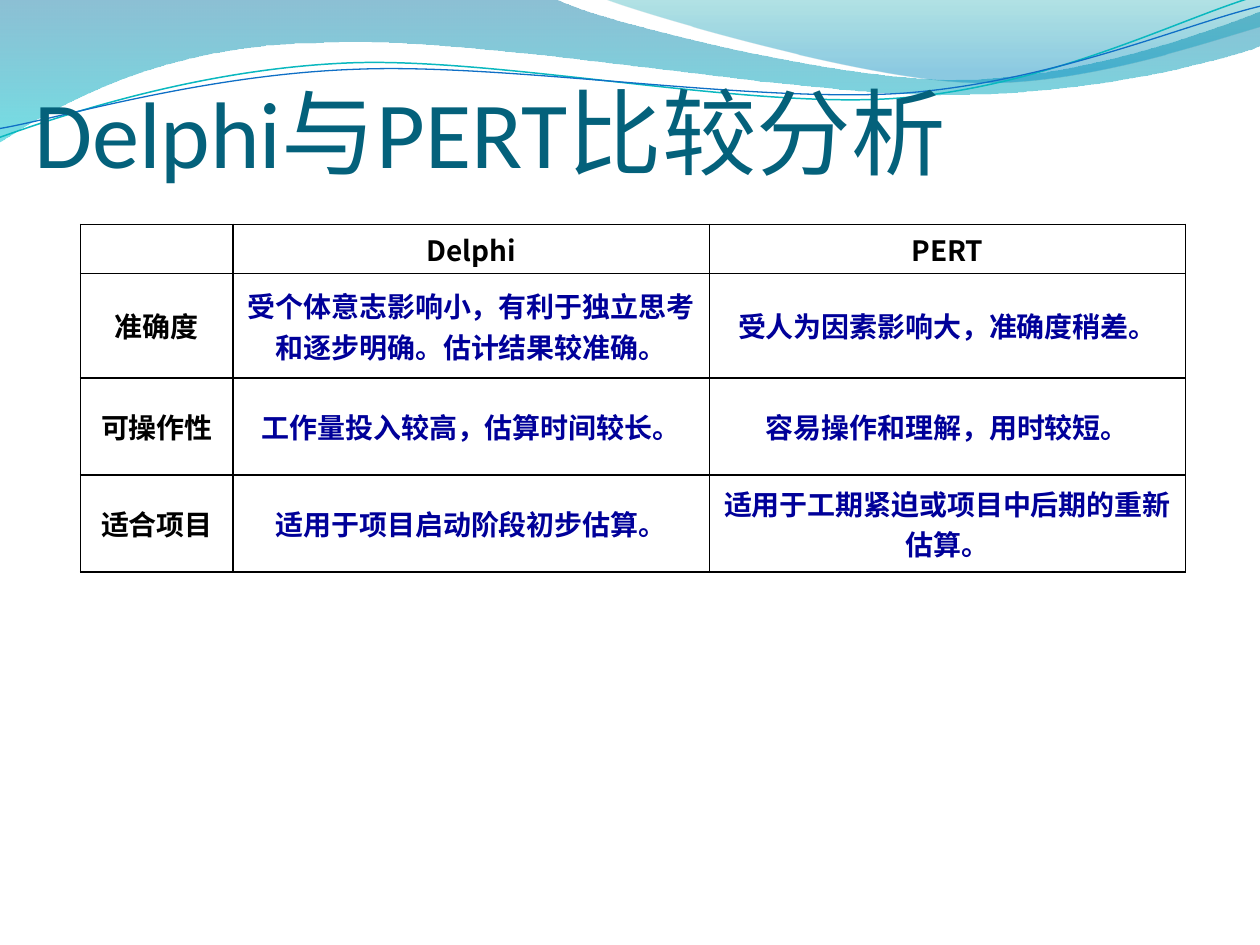
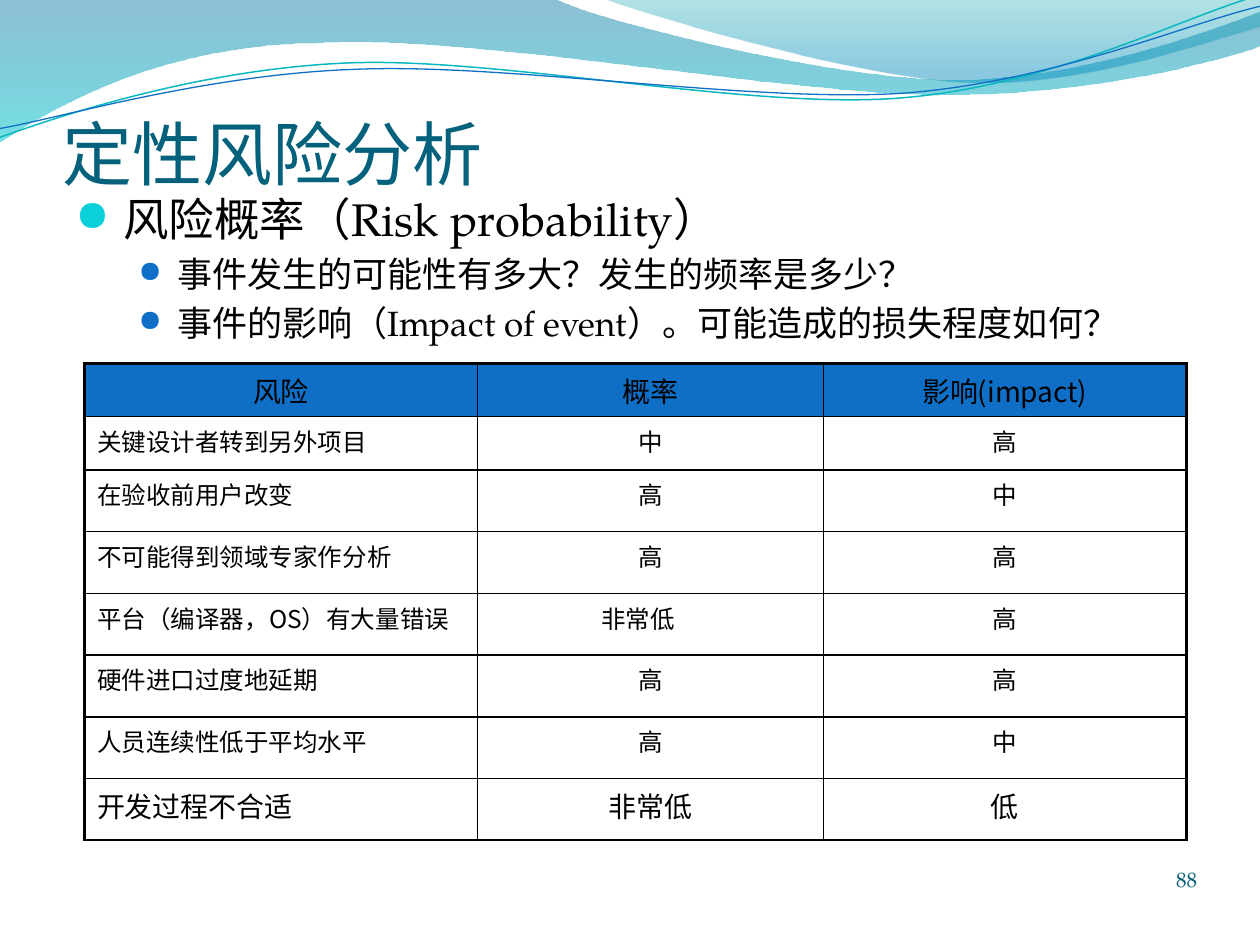
from dataclasses import dataclass, replace
from math import cos, radians, sin

from lxml import etree
from pptx import Presentation
from pptx.dml.color import RGBColor
from pptx.enum.text import MSO_ANCHOR, PP_ALIGN
from pptx.oxml.ns import qn
from pptx.util import Emu, Inches, Pt

LEFT, CENTER, RIGHT = PP_ALIGN.LEFT, PP_ALIGN.CENTER, PP_ALIGN.RIGHT
TOP, MIDDLE, BOTTOM = MSO_ANCHOR.TOP, MSO_ANCHOR.MIDDLE, MSO_ANCHOR.BOTTOM

PAGE_WIDTH, PAGE_HEIGHT = Inches(10), Inches(7.5)
GRID_COLUMNS, GRID_ROWS = 100, 75


@dataclass(frozen=True)
class Theme:
    title: str = "04617B"
    text: str = "000000"
    opinion: str = "000099"
    header_fill: str = "0F6FC6"
    bullet: str = "0BD0D9"
    sub_bullet: str = "0F6FC6"
    page_number: str = "045C75"
    heading_font: str = "Calibri"
    body_font: str = "TeX Gyre Pagella"
    table_font: str = "Noto Sans CJK SC"
    asian_font: str = "Noto Sans CJK SC"
    bullet_font: str = "OpenSymbol"
    big_title_size: int = 54
    title_size: int = 40
    body_size: int = 26
    sub_size: int = 20
    table_size: int = 16
    small_size: int = 14
    number_size: int = 12
    thin: float = 1
    thick: float = 2.25


THEME = Theme()


@dataclass(frozen=True)
class Area:
    column: float
    row: float
    columns: float
    rows: float

    def emu(self) -> tuple:
        return across(self.column), down(self.row), across(self.columns), down(self.rows)


@dataclass(frozen=True)
class TextStyle:
    size: float
    font: str
    color: str
    bold: bool = False
    align: PP_ALIGN = LEFT
    space_share: float = 0


@dataclass(frozen=True)
class Bullet:
    level: int
    color: str
    percent: int
    indent: float
    hanging: float


@dataclass(frozen=True)
class Stop:
    color: str
    position: float
    opacity: int


@dataclass(frozen=True)
class Wave:
    """An outline: each step has one point (straight) or three (Bézier)."""
    start: tuple
    steps: tuple
    stops: tuple = ()
    line_color: str = ""
    line_width: float = 0
    tilt: float = 0
    center: tuple = (0, 0)


@dataclass(frozen=True)
class Frame:
    left: float
    top: float
    right: float
    bottom: float


@dataclass(frozen=True)
class Grid:
    area: Area
    widths: tuple
    heights: tuple
    frame: Frame
    margins: tuple
    anchor: MSO_ANCHOR


WAVES = (
    Wave((0, -0.1), (
        ((44, -0.1),),
        ((47.6, 1.7), (66.4, 6.3), (75.8, 6.3)),
        ((85.3, 6.3), (95.8, 2.6), (100, 0.9)),
        ((100.1, 3.6),),
        ((98.3, 4.4), (87, 7.6), (74.6, 7.5)),
        ((62.2, 7.5), (38.2, 2.8), (25.7, 3.4)),
        ((12.9, 3.5), (4.6, 8.3), (-0.1, 11.3)),
    ), stops=(Stop("0074A1", 0, 45), Stop("00C6CF", 1, 55))),
    Wave((47.9, -0.1), (
        ((50.9, 1.1), (68.2, 6.2), (76.9, 6.5)),
        ((85.6, 6.9), (96.1, 3.2), (100, 2.1)),
        ((100, 0),),
    ), stops=(Stop("00A1A9", 0, 30), Stop("008BBF", 0.8, 45))),
    Wave((0, 10.9), (
        ((4.8, 9.2), (15.7, 5.5), (27.6, 5)),
        ((39.5, 4.5), (59.2, 8.7), (71.2, 7.8)),
        ((83.3, 6.9), (93.8, 1.4), (99.7, -0.3)),
    ), line_color="0AB8BF", line_width=0.85, tilt=-2.7, center=(49.9, 5.65)),
    Wave((0, 10.2), (
        ((4.7, 9.4), (16.3, 5.9), (28.3, 5.5)),
        ((40.2, 5), (59.7, 8.2), (71.7, 7.4)),
        ((83.6, 6.5), (94.1, 1.9), (100, 0.5)),
    ), line_color="0F6FC6", line_width=0.75, tilt=-2.7, center=(49.95, 5.8)),
)

TITLE = TextStyle(THEME.title_size, THEME.heading_font, THEME.title)
BIG_TITLE = replace(TITLE, size=THEME.big_title_size)
POINT = TextStyle(THEME.body_size, THEME.body_font, THEME.text, space_share=0.2)
SUB_POINT = replace(POINT, size=THEME.sub_size)
NUMBER = TextStyle(THEME.number_size, THEME.body_font, THEME.page_number, align=RIGHT)
LABEL = TextStyle(THEME.table_size, THEME.table_font, THEME.text, True, CENTER, 0.2)
OPINION = replace(LABEL, color=THEME.opinion)
RATING = replace(LABEL, bold=False)

MAIN_BULLET = Bullet(0, THEME.bullet, 95, 3.8, 3.8)
SUB_BULLET = Bullet(1, THEME.sub_bullet, 85, 8.1, 3.1)

COMPARISON = (
    ("", "Delphi", "PERT"),
    ("准确度", "受个体意志影响小，有利于独立思考和逐步明确。估计结果较准确。",
     "受人为因素影响大，准确度稍差。"),
    ("可操作性", "工作量投入较高，估算时间较长。", "容易操作和理解，用时较短。"),
    ("适合项目", "适用于项目启动阶段初步估算。", "适用于工期紧迫或项目中后期的重新估算。"),
)
RISKS = (
    ("风险", "概率", "影响(impact)"),
    ("关键设计者转到另外项目", "中", "高"),
    ("在验收前用户改变", "高", "中"),
    ("不可能得到领域专家作分析", "高", "高"),
    ("平台（编译器，OS）有大量错误", "非常低　", "高"),
    ("硬件进口过度地延期", "高", "高"),
    ("人员连续性低于平均水平", "高", "中"),
    ("开发过程不合适", "非常低", "低"),
)
COMPARISON_GRID = Grid(Area(6.4, 17.8, 87.7, 27.6), (12.1, 37.8, 37.8), (3.9, 8.3, 7.7, 7.7),
                       Frame(*[THEME.thin] * 4), (0.2, 0.2), MIDDLE)
RISK_GRID = Grid(Area(6.7, 28.85, 87.5, 38), (31.2, 27.45, 28.8), (4.2, 4.25) + (4.9,) * 6,
                 Frame(THEME.thick, THEME.thick, THEME.thick, THEME.thin), (1, 0.5), TOP)
RISK_POINTS = (
    ("风险概率（Risk probability）", POINT, MAIN_BULLET),
    ("事件发生的可能性有多大？发生的频率是多少？", SUB_POINT, SUB_BULLET),
    ("事件的影响（Impact of event）。可能造成的损失程度如何？", SUB_POINT, SUB_BULLET),
)


def across(columns: float) -> Emu:
    return Emu(round(PAGE_WIDTH * columns / GRID_COLUMNS))


def down(rows: float) -> Emu:
    return Emu(round(PAGE_HEIGHT * rows / GRID_ROWS))


def add_node(parent, tag: str, **attributes):
    return etree.SubElement(parent, qn(tag), {key: str(value) for key, value in attributes.items()})


def untilted(wave: Wave, point: tuple) -> tuple:
    """Give the slide position of a point before the shape is rotated."""
    angle = radians(-wave.tilt)
    x, y = point[0] - wave.center[0], point[1] - wave.center[1]
    return (across(wave.center[0] + x * cos(angle) - y * sin(angle)),
            down(wave.center[1] + x * sin(angle) + y * cos(angle)))


def bend(shape, steps: tuple) -> None:
    """Join each three line segments of a Bézier step into one curve."""
    segments = iter(list(shape.element.iter(qn("a:lnTo"))))
    for step in steps:
        lines = [next(segments) for _ in step]
        if len(lines) == 3:
            curve = etree.Element(qn("a:cubicBezTo"))
            lines[0].addprevious(curve)
            for line in lines:
                curve.append(line[0])
                line.getparent().remove(line)


def draw_wave(page, wave: Wave) -> None:
    builder = page.shapes.build_freeform(*untilted(wave, wave.start))
    points = [untilted(wave, point) for step in wave.steps for point in step]
    builder.add_line_segments(points, close=bool(wave.stops))
    shape = builder.convert_to_shape()
    bend(shape, wave.steps)
    shape.rotation = wave.tilt
    shape.shadow.inherit = False
    if not wave.stops:
        shape.fill.background()
        shape.line.color.rgb = RGBColor.from_string(wave.line_color)
        shape.line.width = Pt(wave.line_width)
        return
    shape.line.fill.background()
    shape.fill.gradient()
    shape.fill.gradient_angle = 270
    for target, stop in zip(shape.fill.gradient_stops, wave.stops):
        target.color.rgb = RGBColor.from_string(stop.color)
        target.position = stop.position
    for node, stop in zip(shape.element.iter(qn("a:gs")), wave.stops):
        add_node(node[0], "a:alpha", val=stop.opacity * 1000)


def write(para, text: str, style: TextStyle) -> None:
    para.text = text
    para.alignment = style.align
    para.space_before = Pt(style.size * style.space_share)
    for span in para.runs:
        span.font.size, span.font.bold, span.font.name = Pt(style.size), style.bold, style.font
        span.font.color.rgb = RGBColor.from_string(style.color)
        add_node(span.font._element, "a:ea", typeface=THEME.asian_font)


def add_bullet(para, bullet: Bullet) -> None:
    para.level = bullet.level
    properties = para._p.get_or_add_pPr()
    properties.set("marL", str(across(bullet.indent)))
    properties.set("indent", str(-across(bullet.hanging)))
    add_node(add_node(properties, "a:buClr"), "a:srgbClr", val=bullet.color)
    add_node(properties, "a:buSzPct", val=bullet.percent * 1000)
    add_node(properties, "a:buFont", typeface=THEME.bullet_font)
    add_node(properties, "a:buChar", char="●")


def add_text_box(page, area: Area, anchor: MSO_ANCHOR, margins: tuple):
    """Add an empty box; margins are left, top, right, bottom in grid units."""
    frame = page.shapes.add_textbox(*area.emu()).text_frame
    frame.word_wrap, frame.vertical_anchor = True, anchor
    left, top, right, bottom = margins
    frame.margin_left, frame.margin_right = across(left), across(right)
    frame.margin_top, frame.margin_bottom = down(top), down(bottom)
    return frame


def add_title(page, text: str, area: Area, style: TextStyle) -> None:
    write(add_text_box(page, area, BOTTOM, (0, 0.5, 0, 0)).paragraphs[0], text, style)


def add_points(page, points: tuple, area: Area) -> None:
    frame = add_text_box(page, area, TOP, (1, 0.5, 1, 0.5))
    for index, (text, style, bullet) in enumerate(points):
        para = frame.add_paragraph() if index else frame.paragraphs[0]
        write(para, text, style)
        add_bullet(para, bullet)


def set_borders(cell, widths: dict) -> None:
    properties = cell._tc.get_or_add_tcPr()
    for side, width in widths.items():
        line = add_node(properties, f"a:ln{side}", w=Pt(width))
        add_node(add_node(line, "a:solidFill"), "a:srgbClr", val=THEME.text)


def add_grid(page, grid: Grid, rows: tuple, style_of, header_fill: str = "") -> None:
    """Draw a table; style_of gives the text style for a row and column."""
    table = page.shapes.add_table(len(rows), len(grid.widths), *grid.area.emu()).table
    table.first_row = table.horz_banding = False
    for column, width in zip(table.columns, grid.widths):
        column.width = across(width)
    for row, height in zip(table.rows, grid.heights):
        row.height = down(height)
    last_row, last_column = len(rows) - 1, len(grid.widths) - 1
    for r, texts in enumerate(rows):
        for c, text in enumerate(texts):
            cell = table.cell(r, c)
            set_borders(cell, {
                "L": THEME.thin if c else grid.frame.left,
                "R": THEME.thin if c < last_column else grid.frame.right,
                "T": THEME.thin if r else grid.frame.top,
                "B": THEME.thin if r < last_row else grid.frame.bottom,
            })
            if header_fill and r == 0:
                cell.fill.solid()
                cell.fill.fore_color.rgb = RGBColor.from_string(header_fill)
            else:
                cell.fill.background()
            cell.margin_left = cell.margin_right = across(grid.margins[0])
            cell.margin_top = cell.margin_bottom = down(grid.margins[1])
            cell.vertical_anchor = grid.anchor
            write(cell.text_frame.paragraphs[0], text, style_of(r, c))


def comparison_style(row: int, column: int) -> TextStyle:
    return OPINION if row and column else LABEL


def risk_style(row: int, column: int) -> TextStyle:
    outer_row = row in (0, len(RISKS) - 1)
    return replace(RATING, size=THEME.table_size if outer_row else THEME.small_size,
                   align=LEFT if row and not column else CENTER)


def add_page(deck):
    page = deck.slides.add_slide(deck.slide_layouts[6])
    for wave in WAVES:
        draw_wave(page, wave)
    return page


def main() -> None:
    deck = Presentation()
    deck.slide_width, deck.slide_height = PAGE_WIDTH, PAGE_HEIGHT
    page = add_page(deck)
    add_title(page, "Delphi与PERT比较分析", Area(2.7, 6.95, 94.5, 7.9), BIG_TITLE)
    add_grid(page, COMPARISON_GRID, COMPARISON, comparison_style)
    page = add_page(deck)
    add_title(page, "定性风险分析", Area(5, 7.7, 90, 7.7), TITLE)
    add_points(page, RISK_POINTS, Area(5, 14.65, 90, 54.5))
    number_frame = add_text_box(page, Area(89.8, 66.75, 5.2, 4), BOTTOM, (0, 0, 0, 0))
    write(number_frame.paragraphs[0], "88", NUMBER)
    add_grid(page, RISK_GRID, RISKS, risk_style, THEME.header_fill)
    deck.save("out.pptx")


if __name__ == "__main__":
    main()
